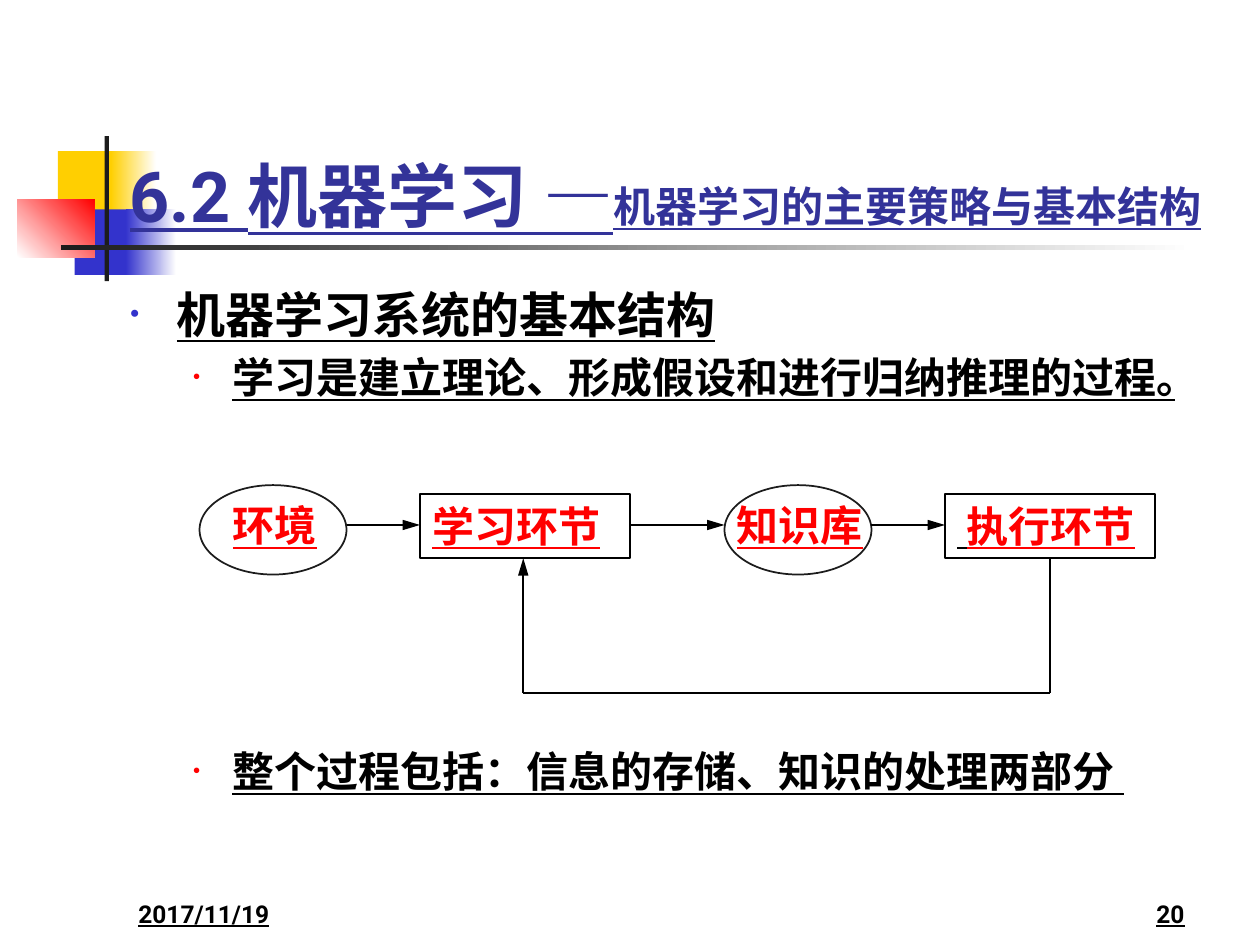
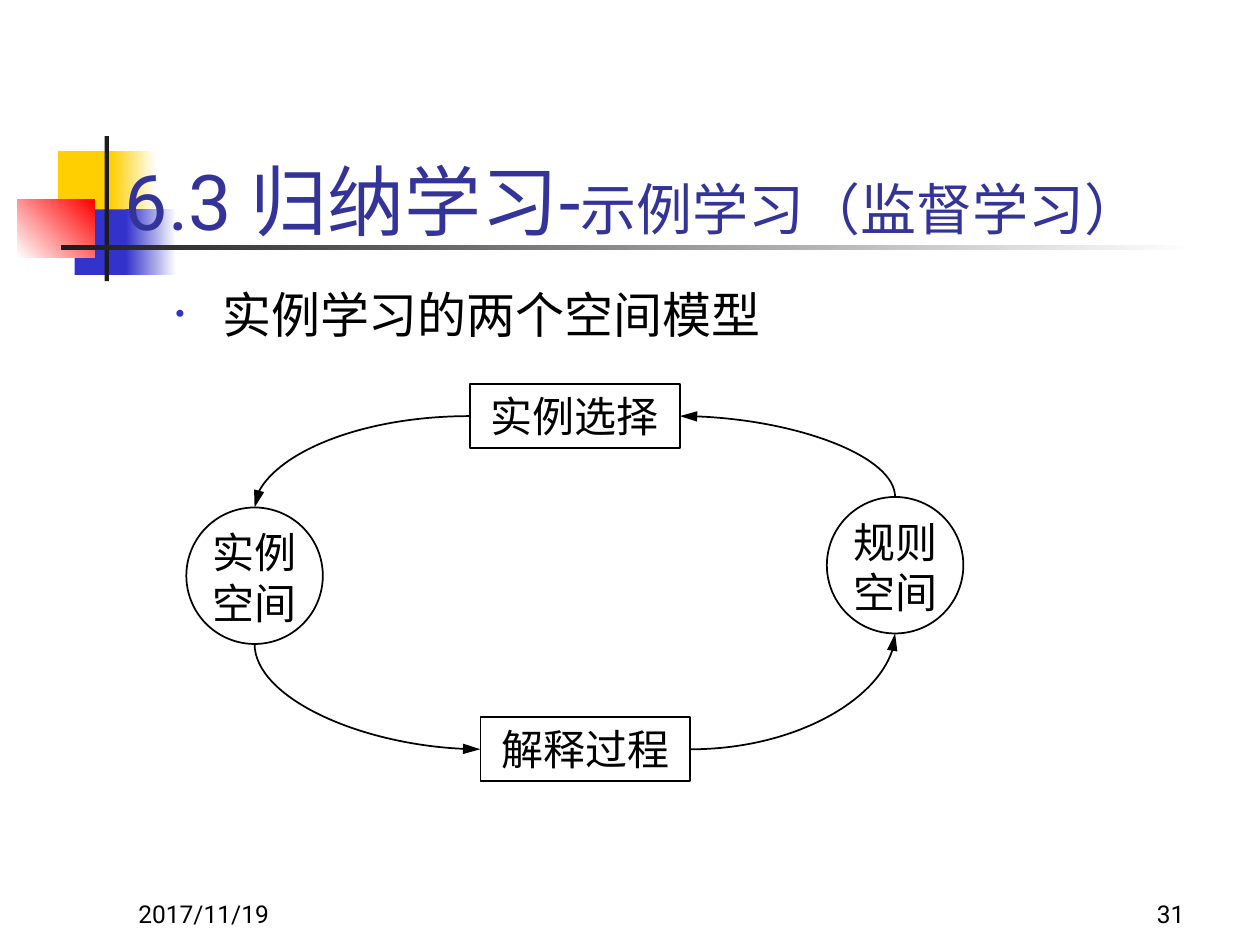
import dataclasses
import typing

import pptx
import pptx.dml.color
import pptx.enum.shapes
import pptx.enum.text
import pptx.oxml.ns
import pptx.util
from lxml import etree

Pt = pptx.util.Pt
MSO = pptx.enum.shapes.MSO_SHAPE
CONN = pptx.enum.shapes.MSO_CONNECTOR
ALIGN = pptx.enum.text.PP_ALIGN
ANCHOR = pptx.enum.text.MSO_ANCHOR
qn = pptx.oxml.ns.qn

EA_FONT = "Noto Sans CJK JP"
LATIN_FONT = "Roboto"
SERIF_FONT = "Times New Roman"
BLACK, WHITE, RED = "000000", "FFFFFF", "FF0000"
INK, BLUE, YELLOW, TITLE_BLUE = "1C1C1C", "3333CC", "FFCF01", "333399"
LINE_RATIO = 1.2
SIDE_INSET, END_INSET = 7.2, 3.6


class Box(typing.NamedTuple):
    left: float
    top: float
    width: float
    height: float


class Line(typing.NamedTuple):
    x1: float
    y1: float
    x2: float
    y2: float
    arrow: str = ""


@dataclasses.dataclass
class Run:
    text: str
    size: float = 24
    color: str = BLACK
    font: str = LATIN_FONT
    strong: bool = False


@dataclasses.dataclass
class Bullet:
    run: Run
    indent: float
    hang: float
    color: str
    percent: int
    before: float = 0


@dataclasses.dataclass
class Node:
    box: Box
    runs: list[Run]
    shape: typing.Any = None
    line: str = BLACK
    align: typing.Any = ALIGN.LEFT


@dataclasses.dataclass
class Band:
    box: Box
    start: str
    end: str = ""
    angle: float = 0


BANDS = [
    Band(Box(33.1, 86.4, 34.6, 37.4), YELLOW),
    Band(Box(63.4, 86.4, 25.9, 37.4), YELLOW, WHITE),
    Band(Box(42.7, 119.7, 33.1, 37.4), BLUE),
    Band(Box(72, 119.7, 28.8, 37.4), BLUE, WHITE),
    Band(Box(10, 113.8, 44, 33.1), WHITE, RED, 45),
    Band(Box(59.8, 77.8, 2.4, 82.8), INK),
    Band(Box(34.6, 140.2, 648, 2.4), INK, WHITE),
]


def rgb(value: str) -> pptx.dml.color.RGBColor:
    return pptx.dml.color.RGBColor.from_string(value)


def add_run(p, run: Run) -> None:
    r = p.add_run()
    r.text = run.text
    r.font.size = Pt(run.size)
    r.font.bold = r.font.underline = run.strong
    r.font.color.rgb = rgb(run.color)
    r.font.name = run.font
    etree.SubElement(r._r.get_or_add_rPr(), qn("a:ea"), typeface=EA_FONT)


def set_frame(tf, right: float = SIDE_INSET, anchor=ANCHOR.TOP) -> None:
    tf.word_wrap = True
    tf.auto_size = pptx.enum.text.MSO_AUTO_SIZE.NONE
    tf.vertical_anchor = anchor
    tf.margin_left, tf.margin_right = Pt(SIDE_INSET), Pt(right)
    tf.margin_top = tf.margin_bottom = Pt(END_INSET)


def fill_paragraph(p, runs: list[Run], align=ALIGN.LEFT) -> None:
    p.alignment = align
    p.line_spacing = Pt(max(run.size for run in runs) * LINE_RATIO)
    for run in runs:
        add_run(p, run)


def add_box(s, box: Box, shape=None):
    lengths = [Pt(v) for v in box]
    if shape is None:
        return s.shapes.add_textbox(*lengths)
    sp = s.shapes.add_shape(shape, *lengths)
    sp.shadow.inherit = False
    return sp


def add_band(s, band: Band) -> None:
    sp = add_box(s, band.box, MSO.RECTANGLE)
    sp.line.fill.background()
    if band.end:
        sp.fill.gradient()
        sp.fill.gradient_angle = band.angle
        for stop, color, at in zip(sp.fill.gradient_stops, (band.start, band.end), (0, 1)):
            stop.color.rgb = rgb(color)
            stop.position = at
    else:
        sp.fill.solid()
        sp.fill.fore_color.rgb = rgb(band.start)


def add_node(s, node: Node) -> None:
    sp = add_box(s, node.box, node.shape)
    if node.shape is not None:
        sp.fill.background()
        sp.line.color.rgb = rgb(node.line)
        sp.line.width = Pt(1)
    if node.runs:
        set_frame(sp.text_frame)
        fill_paragraph(sp.text_frame.paragraphs[0], node.runs, node.align)


def add_line(s, line: Line, curved: bool = False) -> None:
    kind = CONN.CURVE if curved else CONN.STRAIGHT
    cx = s.shapes.add_connector(kind, Pt(line.x1), Pt(line.y1), Pt(line.x2), Pt(line.y2))
    cx.line.color.rgb = rgb(BLACK)
    cx.line.width = Pt(1)
    sppr = cx.element.find(qn("p:spPr"))
    if curved:
        sppr.find(qn("a:prstGeom")).set("prst", "curvedConnector2")
    if line.arrow:
        etree.SubElement(sppr.find(qn("a:ln")), qn(f"a:{line.arrow}"),
                         type="triangle", w="med", len="lg")
    etree.SubElement(sppr, qn("a:effectLst"))


def add_bullets(s, box: Box, bullets: list[Bullet]) -> None:
    tf = add_box(s, box).text_frame
    set_frame(tf)
    for i, b in enumerate(bullets):
        p = tf.add_paragraph() if i else tf.paragraphs[0]
        fill_paragraph(p, [b.run])
        p.space_before = Pt(b.before)
        ppr = p._p.get_or_add_pPr()
        ppr.set("marL", str(Pt(b.indent)))
        ppr.set("indent", str(-Pt(b.hang)))
        clr = etree.SubElement(ppr, qn("a:buClr"))
        etree.SubElement(clr, qn("a:srgbClr"), val=b.color)
        etree.SubElement(ppr, qn("a:buSzPct"), val=str(b.percent * 1000))
        etree.SubElement(ppr, qn("a:buFont"), typeface=SERIF_FONT)
        etree.SubElement(ppr, qn("a:buChar"), char="•")


def add_footer(s, left: float, text: str, align, strong: bool) -> None:
    tf = add_box(s, Box(left, 498.2, 150, 36)).text_frame
    set_frame(tf, anchor=ANCHOR.BOTTOM)
    p = tf.paragraphs[0]
    p.alignment = align
    add_run(p, Run(text, 14, strong=strong))


def start_slide(prs, title_box: Box, title: list[Run], number: str, strong: bool):
    s = prs.slides.add_slide(prs.slide_layouts[5])
    for band in BANDS:
        add_band(s, band)
    sp = s.shapes.title
    sp.element.getparent().append(sp.element)
    sp.left, sp.top, sp.width, sp.height = (Pt(v) for v in title_box)
    set_frame(sp.text_frame, right=0, anchor=ANCHOR.BOTTOM)
    fill_paragraph(sp.text_frame.paragraphs[0], title)
    add_footer(s, 72, "2017/11/19", ALIGN.LEFT, strong)
    add_footer(s, 534, number, ALIGN.RIGHT, strong)
    return s


def title_runs(name: str, topic: str, size: float, topic_size: float,
               strong: bool) -> list[Run]:
    return [Run(name, size, TITLE_BLUE, strong=strong),
            Run(topic, topic_size, TITLE_BLUE, strong=strong)]


def heading(text: str, strong: bool) -> Bullet:
    return Bullet(Run(text, 28, font=SERIF_FONT, strong=strong), 27, 27, BLUE, 60)


def point(text: str, before: float) -> Bullet:
    return Bullet(Run(text, font=EA_FONT, strong=True), 58.5, 22.5, RED, 55, before)


def build_structure_slide(prs) -> None:
    title = title_runs("6.2 机器学习 —", "机器学习的主要策略与基本结构", 40, 24, True)
    s = start_slide(prs, Box(67, 49, 637.2, 90), title, "20", True)
    add_bullets(s, Box(67, 159.1, 611.3, 324), [
        heading("机器学习系统的基本结构", True),
        point("学习是建立理论、形成假设和进行归纳推理的过程。", 4.8),
        point("整个过程包括：信息的存储、知识的处理两部分 ", 196.3),
    ])

    def label(text: str) -> Run:
        return Run(text, color=RED, strong=True)

    for left, text_left, text_width, text in [(114, 126, 78, "环境"), (414, 414, 90, "知识库")]:
        add_node(s, Node(Box(left, 277.2, 84, 51.1), [], MSO.OVAL, INK))
        add_node(s, Node(Box(text_left, 282.2, text_width, 36), [label(text)]))
    for left, runs in [(240, [label("学习环节")]),
                       (540, [Run(" ", strong=True), label("执行环节")])]:
        add_node(s, Node(Box(left, 282.2, 120, 36.7), runs, MSO.RECTANGLE))

    flow_y, return_y = 300, 396
    for x1, x2 in [(198, 240), (360, 414), (498, 540)]:
        add_line(s, Line(x1, flow_y, x2, flow_y, "tailEnd"))
    add_line(s, Line(600, 318.5, 600, return_y))
    add_line(s, Line(600, return_y, 299, return_y))
    add_line(s, Line(299, return_y, 299, 319, "tailEnd"))


def build_spaces_slide(prs) -> None:
    title = title_runs("6.3 归纳学习-", "示例学习（监督学习）", 44, 32, False)
    s = start_slide(prs, Box(64.1, 54, 661.7, 90), title, "31", False)
    add_bullets(s, Box(92.9, 159.1, 612, 324), [heading("实例学习的两个空间模型", False)])
    for left, top, text in [(106.5, 290, "实例空间"), (472.5, 284, "规则空间")]:
        add_node(s, Node(Box(left, top, 78, 78), [], MSO.OVAL))
        add_node(s, Node(Box(left + 6, top + 7.4, 66, 65.5), [Run(text)], align=ALIGN.CENTER))
    for left, top, text in [(268.5, 219.5, "实例选择"), (274.5, 409.8, "解释过程")]:
        add_node(s, Node(Box(left, top, 120, 36.7), [Run(text)], MSO.RECTANGLE,
                         align=ALIGN.CENTER))
    for curve in [
        Line(268.5, 237.8, 145.5, 290, "tailEnd"),
        Line(274.5, 428.2, 145.5, 368, "headEnd"),
        Line(394.5, 428.2, 511.5, 362, "tailEnd"),
        Line(388.5, 237.8, 511.5, 284, "headEnd"),
    ]:
        add_line(s, curve, curved=True)


def main() -> None:
    prs = pptx.Presentation()
    prs.slide_width, prs.slide_height = Pt(720), Pt(540)
    build_structure_slide(prs)
    build_spaces_slide(prs)
    prs.save("out.pptx")


if __name__ == "__main__":
    main()
